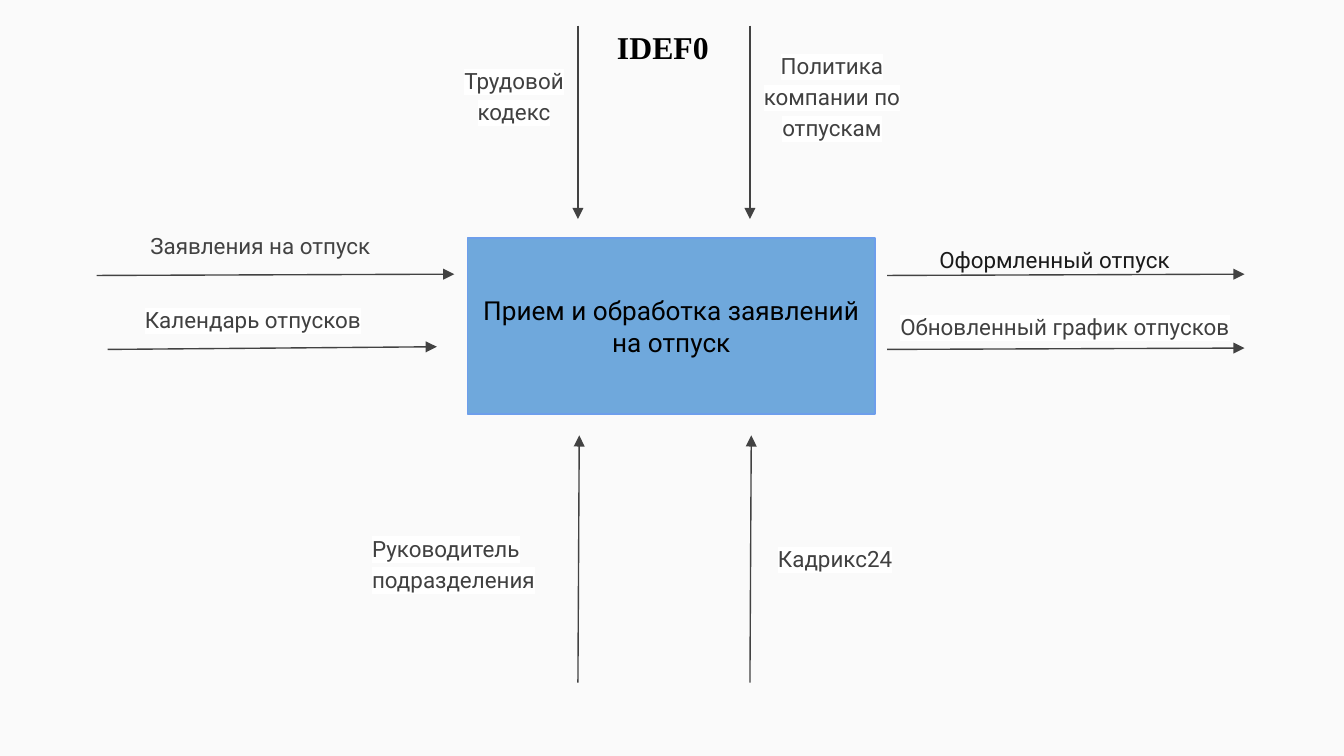
from lxml.etree import SubElement
from pptx import Presentation
from pptx.dml.color import RGBColor
from pptx.enum.shapes import MSO_CONNECTOR, MSO_SHAPE
from pptx.enum.text import MSO_ANCHOR, MSO_AUTO_SIZE, PP_ALIGN
from pptx.oxml import parse_xml
from pptx.oxml.ns import nsdecls, qn
from pptx.util import Inches, Pt

COLORS = {
    "background": "FAFAFA",
    "process": "6FA8DC",
    "process_border": "6D9EEB",
    "arrow": "424242",
    "label": "404040",
    "input": "424242",
    "output": "1A1A1A",
    "highlight": "FFFFFF",
    "black": "000000",
}
LEFT, CENTER = PP_ALIGN.LEFT, PP_ALIGN.CENTER


def color(name):
    return RGBColor.from_string(COLORS[name])


def write(shape, text, size, ink, align=LEFT, anchor=MSO_ANCHOR.TOP,
          font="Roboto", bold=False, spacing=1.0, highlighted=False):
    """Fill a shape with one formatted paragraph."""
    frame = shape.text_frame
    frame_format = {"word_wrap": True, "auto_size": MSO_AUTO_SIZE.NONE,
                    "vertical_anchor": anchor}
    for side in ("left", "top", "right", "bottom"):
        frame_format[f"margin_{side}"] = Inches(0.1)
    for name, value in frame_format.items():
        setattr(frame, name, value)
    paragraph = frame.paragraphs[0]
    paragraph.alignment = align
    paragraph.line_spacing = spacing
    run = paragraph.add_run()
    run.text = text
    for name, value in {"name": font, "size": Pt(size), "bold": bold}.items():
        setattr(run.font, name, value)
    run.font.color.rgb = color(ink)
    if highlighted:
        run.font._element.find(qn("a:solidFill")).addnext(parse_xml(
            f'<a:highlight {nsdecls("a")}>'
            f'<a:srgbClr val="{COLORS["highlight"]}"/></a:highlight>'))


presentation = Presentation()
presentation.slide_width = Inches(10)
presentation.slide_height = presentation.slide_width * 9 // 16
slide = presentation.slides.add_slide(presentation.slide_layouts[5])
slide.background.fill.solid()
slide.background.fill.fore_color.rgb = color("background")

title = slide.shapes.title
title.left, title.top, title.width, title.height = map(
    Inches, (4.49, 0.11, 1.2, 0.49))
write(title, "IDEF0", 17, "black", font="Times New Roman", bold=True)

process = slide.shapes.add_shape(
    MSO_SHAPE.RECTANGLE, *map(Inches, (3.48, 1.77, 3.03, 1.31)))
process.shadow.inherit = False
process.fill.solid()
process.fill.fore_color.rgb = color("process")
process.line.color.rgb = color("process_border")
process.line.width = Pt(0.75)
write(process, "Прием и обработка заявлений на отпуск", 14, "black",
      CENTER, MSO_ANCHOR.MIDDLE)

# Start x, start y, end x, end y
flows = [
    (0.72, 2.05, 3.38, 2.04),
    (0.8, 2.6, 3.25, 2.58),
    (6.6, 2.05, 9.26, 2.04),
    (6.6, 2.6, 9.26, 2.59),
]
for x in (4.3, 5.58):
    flows.append((x, 0.19, x, 1.63))
    flows.append((x, 5.08, x + 0.01, 3.24))

for flow in flows:
    arrow = slide.shapes.add_connector(
        MSO_CONNECTOR.STRAIGHT, *map(Inches, flow))
    arrow.line.color.rgb = color("arrow")
    arrow.line.width = Pt(0.75)
    SubElement(arrow.line._get_or_add_ln(), qn("a:tailEnd"), type="triangle")
    SubElement(arrow._element.spPr, qn("a:effectLst"))

# Text, position and size, colour, alignment, line spacing, highlighted
labels = [
    ("Заявления на отпуск", (1.02, 1.63, 2.09, 0.42), "input", LEFT, 1.0, False),
    ("Календарь отпусков", (0.98, 2.18, 1.87, 0.27), "label", LEFT, 1.0, True),
    ("Оформленный отпуск", (6.89, 1.73, 2.09, 0.27), "output", LEFT, 1.0, False),
    ("Обновленный график отпусков", (6.6, 2.23, 3.28, 0.4), "label", LEFT, 1.0, True),
    ("Руководитель подразделения", (2.67, 3.85, 1.52, 0.64), "label", LEFT, 1.15, True),
    ("Трудовой кодекс", (3.1, 0.37, 1.45, 0.64), "label", CENTER, 1.15, True),
    ("Политика компании по отпускам", (5.43, 0.26, 1.52, 0.87), "label", CENTER, 1.15, True),
    ("Кадрикс24", (5.69, 3.96, 1.11, 0.4), "label", LEFT, 1.0, True),
]
for text, place, ink, align, spacing, highlighted in labels:
    label = slide.shapes.add_textbox(*map(Inches, place))
    write(label, text, 12, ink, align, spacing=spacing, highlighted=highlighted)

presentation.save("out.pptx")
